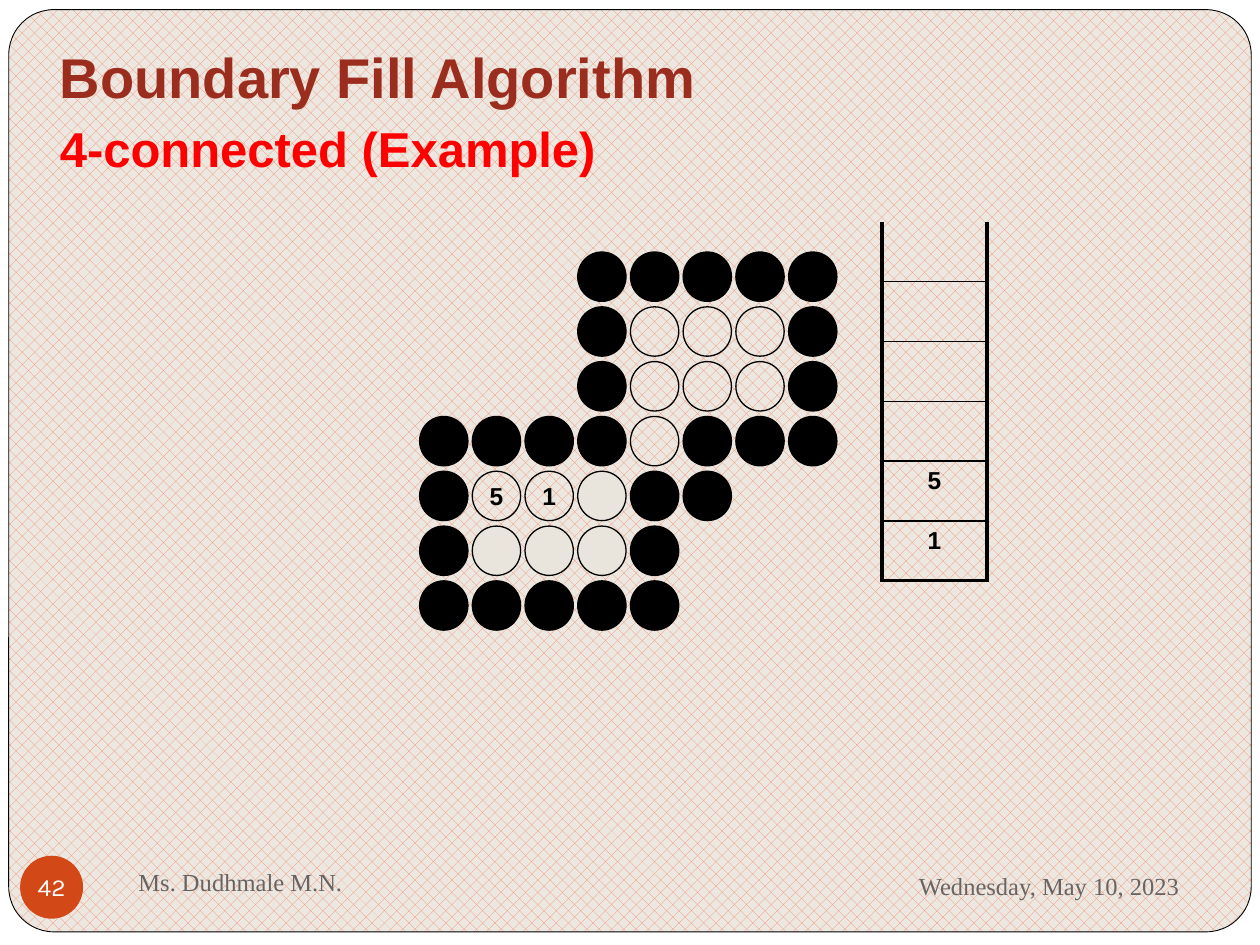
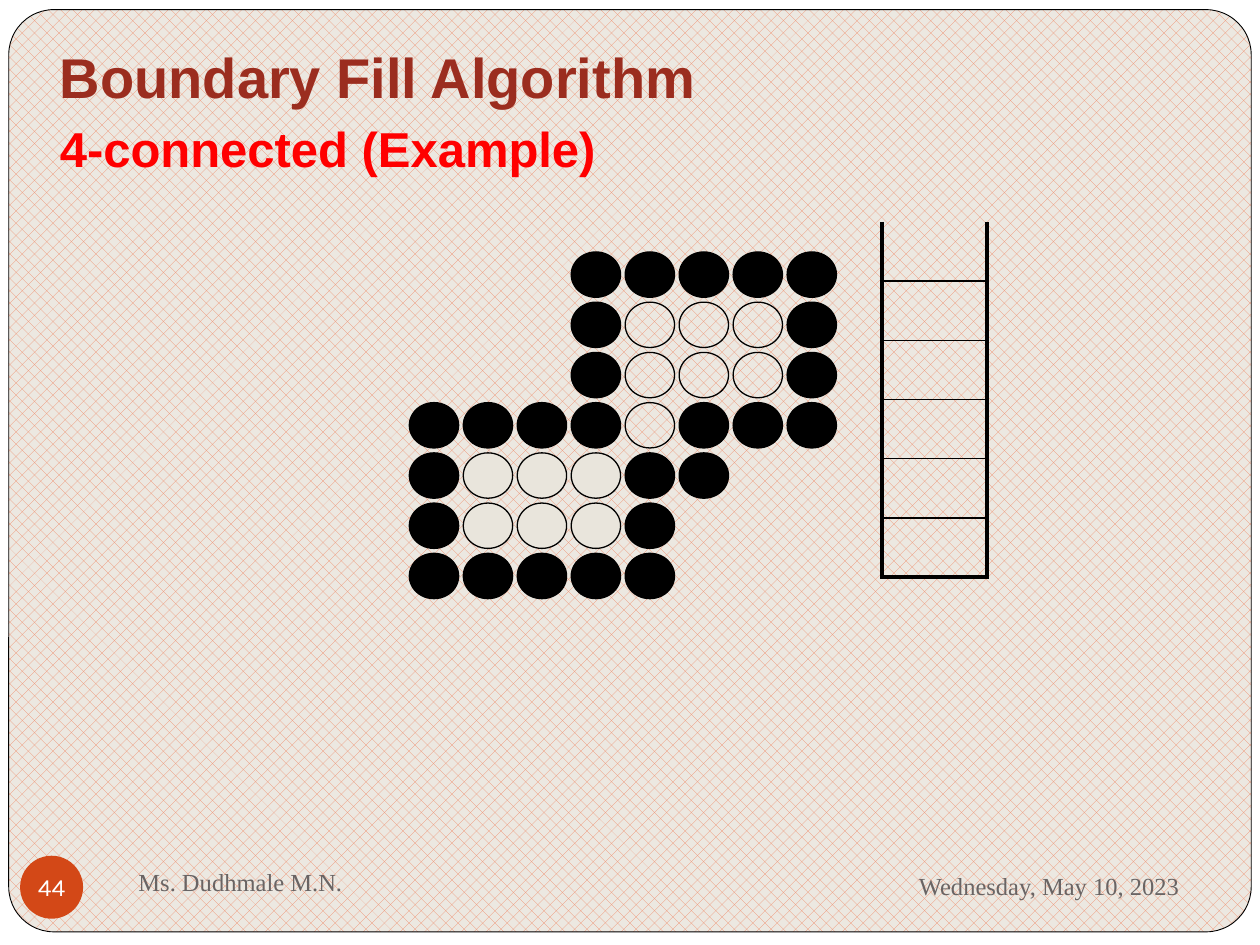
import pptx
import pptx.util
import pptx.dml.color
import pptx.enum.dml
import pptx.enum.shapes
import pptx.enum.text
import pptx.oxml.ns
import lxml.etree

Pt = pptx.util.Pt
SHAPE = pptx.enum.shapes.MSO_SHAPE
ALIGN = pptx.enum.text.PP_ALIGN
MIDDLE = pptx.enum.text.MSO_ANCHOR.MIDDLE

COLORS = {
    "black": "000000", "white": "FFFFFF", "hatch": "EF8C6A", "paper": "ECE8E1",
    "filled": "E9E5DC", "badge": "D34817", "title": "9B2D1F", "subtitle": "FF0000",
    "footer": "696464",
}
RGB = {name: pptx.dml.color.RGBColor.from_string(c) for name, c in COLORS.items()}

# Pixel map: # boundary, o open, x filled, digit = numbered open pixel
REGION = ["...#####", "...#ooo#", "...#ooo#", "####o###", "#xxx##", "#xxx#", "#####"]
NUMBERED = REGION[:4] + ["#51x##"] + REGION[5:]

SLIDES = [
    {"number": "42", "pixels": NUMBERED, "left": 239.8, "step": (30.12, 31.32),
     "size": (27.6, 28.2), "row": 34.2, "stack": ["", "", "", "", "5", "1"]},
    {"number": "44", "pixels": REGION, "left": 233.9, "step": (30.84, 28.7),
     "size": (28.2, 25.9), "row": 33.85, "stack": [""] * 6},
]


def add_run(p, text, size, font, color, bold=False, align=ALIGN.LEFT):
    p.alignment = align
    r = p.add_run()
    r.text = text
    r.font.size = Pt(size)
    r.font.name = font
    r.font.bold = bold
    r.font.color.rgb = RGB[color]


def add_shape(shapes, kind, left, top, width, height, fill=None, line=None):
    sp = shapes.add_shape(kind, Pt(left), Pt(top), Pt(width), Pt(height))
    sp.shadow.inherit = False
    if fill:
        sp.fill.solid()
        sp.fill.fore_color.rgb = RGB[fill]
    else:
        sp.fill.background()
    if line:
        sp.line.color.rgb = RGB["black"]
        sp.line.width = Pt(line)
    else:
        sp.line.fill.background()
    return sp


prs = pptx.Presentation()
prs.slide_width, prs.slide_height = Pt(720), Pt(540)

for data in SLIDES:
    s = prs.slides.add_slide(prs.slide_layouts[5])

    # Background and hatched rounded panel
    add_shape(s.shapes, SHAPE.RECTANGLE, 0, 0, 720, 540, "white")
    panel = add_shape(s.shapes, SHAPE.ROUNDED_RECTANGLE, 5, 5.5, 710, 527, line=0.5)
    panel.adjustments[0] = 0.049
    for fill in (s.background.fill, panel.fill):
        fill.patterned()
        fill.pattern = pptx.enum.dml.MSO_PATTERN.PERCENT_30
        fill.fore_color.rgb = RGB["hatch"]
        fill.back_color.rgb = RGB["paper"]

    # Footer texts
    for text, left, top, width, height, align in (
            ("Ms. Dudhmale M.N.", 72, 486, 312, 36, ALIGN.LEFT),
            ("Wednesday, May 10, 2023", 486, 487.5, 195, 37.5, ALIGN.RIGHT)):
        tf = s.shapes.add_textbox(Pt(left), Pt(top), Pt(width), Pt(height)).text_frame
        tf.word_wrap = True
        tf.vertical_anchor = MIDDLE
        add_run(tf.paragraphs[0], text, 14, "Times New Roman", "footer", align=align)

    # Slide number badge
    tf = add_shape(s.shapes, SHAPE.OVAL, 11.5, 489, 36, 36, "badge").text_frame
    tf.margin_left = tf.margin_right = tf.margin_top = tf.margin_bottom = 0
    tf.word_wrap = False
    tf.vertical_anchor = MIDDLE
    add_run(tf.paragraphs[0], data["number"], 14, "Karla", "white", align=ALIGN.CENTER)

    # Pixel region
    group = s.shapes.add_group_shape()
    step_x, step_y = data["step"]
    for i, row in enumerate(data["pixels"]):
        for j, mark in enumerate(row):
            if mark == ".":
                continue
            fill = {"#": "black", "x": "filled"}.get(mark)
            sp = add_shape(group.shapes, SHAPE.OVAL, data["left"] + j * step_x,
                           144 + i * step_y, *data["size"], fill, 0.75)
            if mark.isdigit():
                tf = sp.text_frame
                tf.word_wrap = False
                tf.vertical_anchor = MIDDLE
                add_run(tf.paragraphs[0], mark, 14, "Arial", "black", True, ALIGN.CENTER)

    # Stack, open at the top
    stack = data["stack"]
    last = len(stack) - 1
    table = s.shapes.add_table(len(stack), 1, Pt(504), Pt(126.75), Pt(60),
                               Pt(data["row"] * len(stack))).table
    table.first_row = table.horz_banding = False
    for i, value in enumerate(stack):
        table.rows[i].height = Pt(data["row"])
        cell = table.cell(i, 0)
        tc_pr = cell._tc.get_or_add_tcPr()
        borders = {"lnL": 2.25, "lnR": 2.25, "lnT": 1 if i else 0,
                   "lnB": 2.25 if i == last else 1}
        for side, width in borders.items():
            ln = lxml.etree.SubElement(tc_pr, pptx.oxml.ns.qn("a:" + side), w=str(Pt(width)))
            if width:
                solid = lxml.etree.SubElement(ln, pptx.oxml.ns.qn("a:solidFill"))
                lxml.etree.SubElement(solid, pptx.oxml.ns.qn("a:srgbClr"), val=COLORS["black"])
            else:
                lxml.etree.SubElement(ln, pptx.oxml.ns.qn("a:noFill"))
        cell.fill.background()
        if value:
            p = cell.text_frame.paragraphs[0]
            p.space_before = Pt(2.8)
            add_run(p, value, 14, "Arial", "black", True, ALIGN.CENTER)

    # Title, brought in front of the panel
    title = s.shapes.title
    title.left, title.top, title.width, title.height = Pt(27), Pt(18), Pt(666), Pt(84)
    title.element.getparent().append(title.element)
    tf = title.text_frame
    tf.word_wrap = True
    tf.auto_size = pptx.enum.text.MSO_AUTO_SIZE.NONE
    tf.vertical_anchor = pptx.enum.text.MSO_ANCHOR.TOP
    tf.margin_top = Pt(6.5)
    add_run(tf.paragraphs[0], "Boundary Fill Algorithm", 32, "Arial", "title", True)
    p = tf.add_paragraph()
    p.space_before = Pt(1)
    add_run(p, "4-connected (Example)", 28, "Arial", "subtitle", True)
    add_run(p, " ", 32, "Arial", "title", True)

prs.save("out.pptx")
